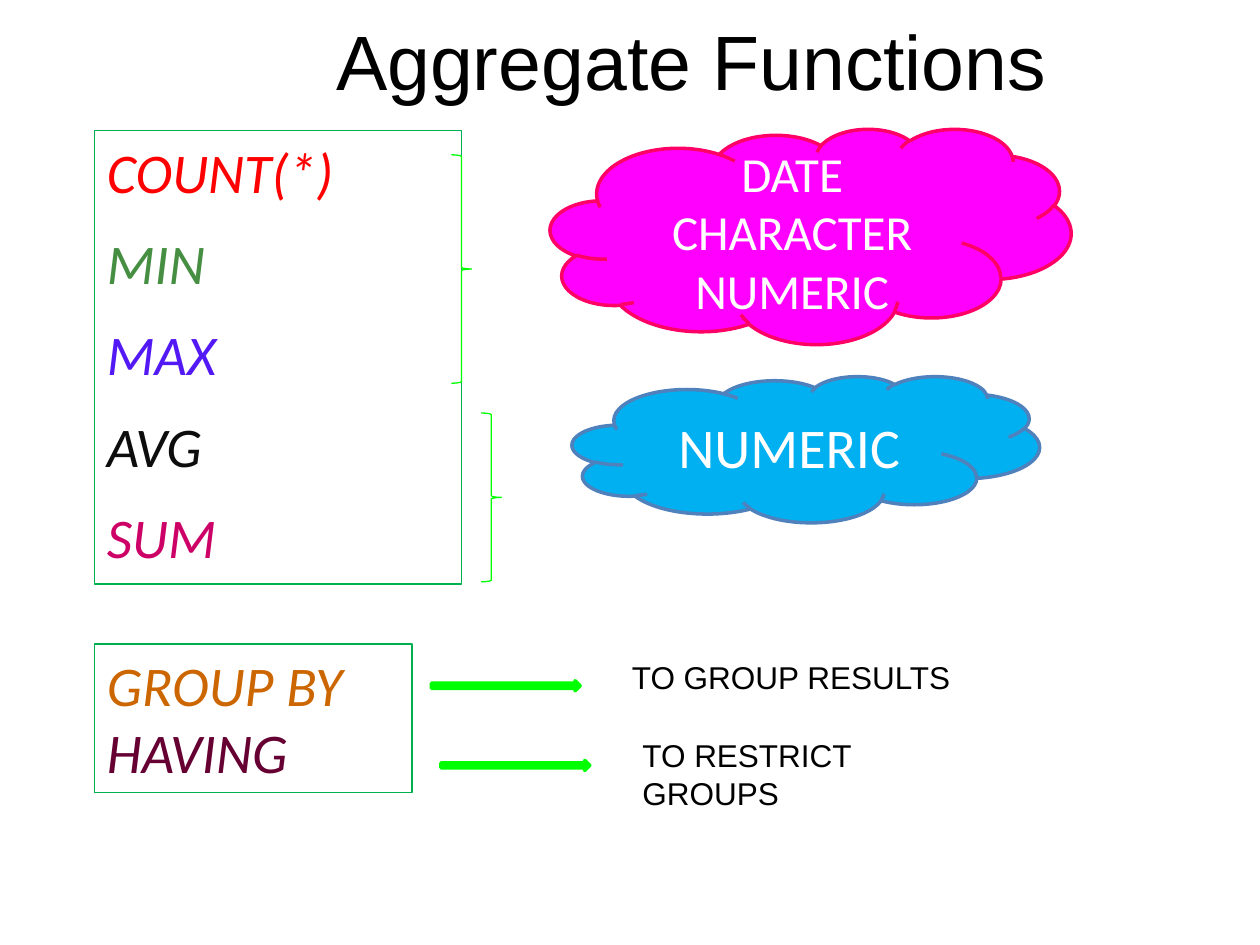
from dataclasses import dataclass

from pptx import Presentation
from pptx.dml.color import RGBColor
from pptx.enum.shapes import MSO_SHAPE
from pptx.enum.text import MSO_ANCHOR, PP_ALIGN
from pptx.util import Pt

RECT = MSO_SHAPE.RECTANGLE
CLOUD = MSO_SHAPE.CLOUD
BRACE = MSO_SHAPE.RIGHT_BRACE
ARROW = MSO_SHAPE.RIGHT_ARROW
LEFT, CENTER = PP_ALIGN.LEFT, PP_ALIGN.CENTER
TOP, MIDDLE = MSO_ANCHOR.TOP, MSO_ANCHOR.MIDDLE


@dataclass(frozen=True)
class Theme:
    sans: str = "Arial"
    body: str = "Calibri"
    title: int = 44
    term: int = 32
    kind: int = 28
    note: int = 18
    thin: float = 0.75
    thick: float = 2
    black: str = "000000"
    white: str = "FFFFFF"
    frame: str = "00B050"
    lime: str = "00FF00"
    pink: str = "FF00FF"
    rose: str = "FF0066"
    sky: str = "00B0F0"
    steel: str = "4F81BD"


THEME = Theme()


def rgb(code):
    return RGBColor.from_string(code)


def add_shape(slide, kind, area, fill=None, line=None, width=THEME.thin):
    shape = slide.shapes.add_shape(kind, *map(Pt, area))
    shape.shadow.inherit = False
    if fill:
        shape.fill.solid()
        shape.fill.fore_color.rgb = rgb(fill)
    else:
        shape.fill.background()
    if line:
        shape.line.color.rgb = rgb(line)
        shape.line.width = Pt(width)
    else:
        shape.line.fill.background()
    return shape


def write(shape, rows, size, face, align=LEFT, anchor=TOP, gap=0, italic=False):
    """Fill a shape with (text, colour) rows, one paragraph each."""
    frame = shape.text_frame
    frame.word_wrap = True
    frame.vertical_anchor = anchor
    style = {"name": face, "size": Pt(size), "italic": italic}
    for i, (text, color) in enumerate(rows):
        para = frame.add_paragraph() if i else frame.paragraphs[0]
        para.alignment = align
        if i and gap:
            para.space_before = Pt(gap)
        run = para.add_run()
        run.text = text
        for key, value in style.items():
            setattr(run.font, key, value)
        run.font.color.rgb = rgb(color)


def add_title(slide, text):
    bar = add_shape(slide, RECT, (70.5, 0, 649.5, 56), THEME.white)
    write(bar, [(text, THEME.black)], THEME.title, THEME.sans, CENTER)
    bar.text_frame.margin_top = Pt(8)
    bar.text_frame.margin_bottom = 0


def add_terms(slide, area, rows, gap=0):
    box = add_shape(slide, RECT, area, line=THEME.frame)
    write(box, rows, THEME.term, THEME.body, gap=gap, italic=True)


def add_cloud(slide, area, fill, line, words, size):
    cloud = add_shape(slide, CLOUD, area, fill, line, THEME.thick)
    rows = [(word, THEME.white) for word in words]
    write(cloud, rows, size, THEME.body, CENTER, MIDDLE)


def add_note(slide, left, top, text):
    box = slide.shapes.add_textbox(Pt(left), Pt(top), Pt(209.5), Pt(29))
    write(box, [(text, THEME.black)], THEME.note, THEME.sans)


def main():
    deck = Presentation()
    deck.slide_width, deck.slide_height = Pt(720), Pt(540)
    slide = deck.slides.add_slide(deck.slide_layouts[6])

    add_title(slide, "Aggregate Functions")

    # Functions, with braces that sort them by data type
    add_terms(slide, (54, 74.75, 209.75, 259), [
        ("COUNT(*)", "FF0000"),
        ("MIN", "468E42"),
        ("MAX", "5319F5"),
        ("AVG", "0D0D0D"),
        ("SUM", "CC0066"),
    ], gap=13.8)
    for area in ((258, 88.5, 11.5, 130.5), (275, 236, 11.5, 96.5)):
        add_shape(slide, BRACE, area, line=THEME.lime)

    # Data types
    add_cloud(slide, (314.5, 73.5, 297.5, 123), THEME.pink, THEME.rose,
              ("DATE", "CHARACTER", "NUMERIC"), THEME.kind)
    add_cloud(slide, (327, 215, 267, 83.5), THEME.sky, THEME.steel,
              ("NUMERIC",), THEME.term)

    # Clauses, each with an arrow to its purpose
    add_terms(slide, (54, 368, 181.5, 85),
              [("GROUP BY", "CC6600"), ("HAVING", "660033")])
    for left, top, note_left, note_top, text in (
        (246.5, 389, 354, 372.5, "TO GROUP RESULTS"),
        (252, 434.5, 360, 417, "TO RESTRICT GROUPS"),
    ):
        add_shape(slide, ARROW, (left, top, 85, 5.75),
                  THEME.lime, THEME.lime, THEME.thick)
        add_note(slide, note_left, note_top, text)

    deck.save("out.pptx")


if __name__ == "__main__":
    main()
